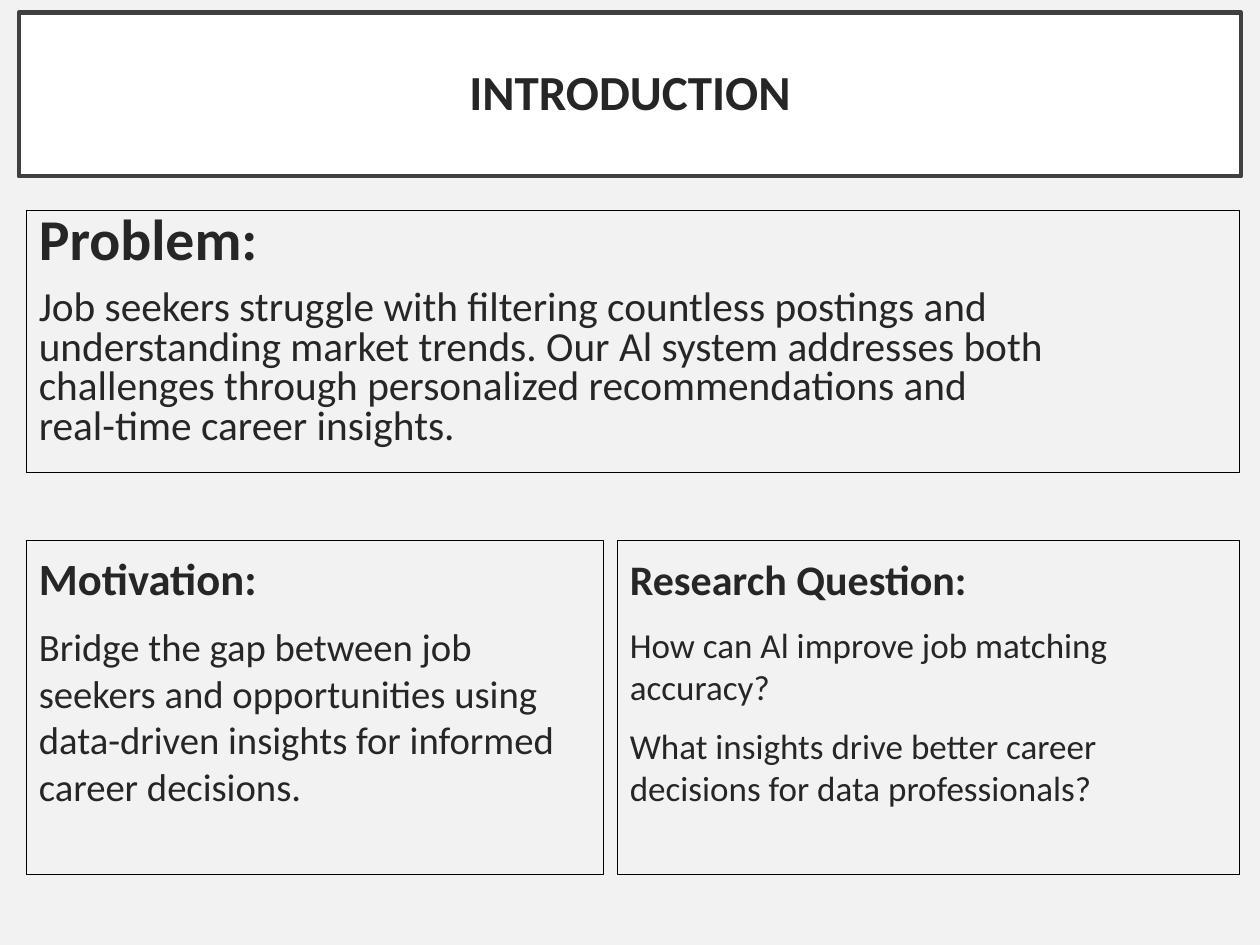
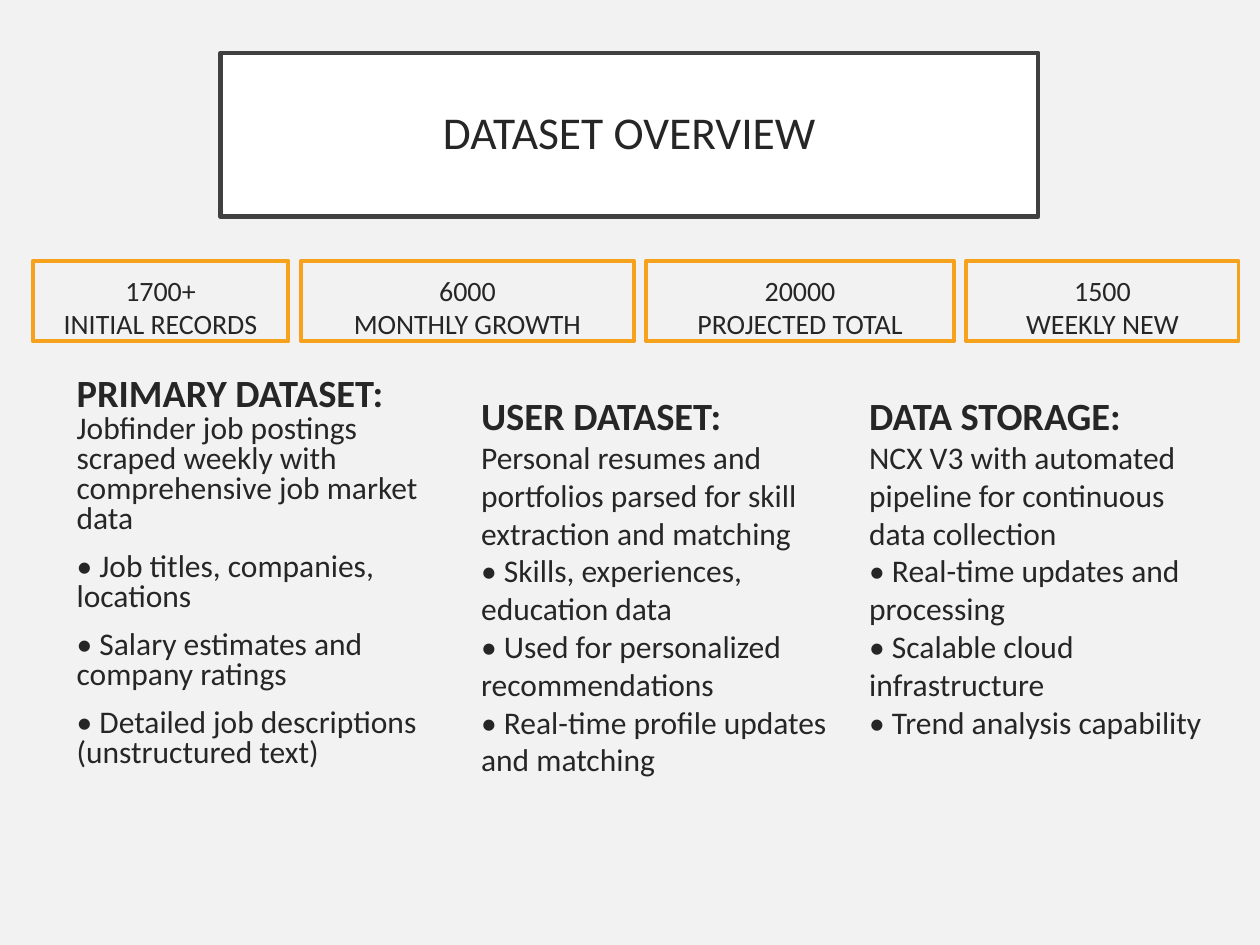
import copy

import pptx
import pptx.dml.color
import pptx.enum.shapes
import pptx.enum.text
import pptx.util

Inches = pptx.util.Inches
Pt = pptx.util.Pt
RGBColor = pptx.dml.color.RGBColor
ALIGN = pptx.enum.text.PP_ALIGN
ANCHOR = pptx.enum.text.MSO_ANCHOR

# Shared look
FONT = "Calibri"
BACKGROUND = RGBColor(0xF2, 0xF2, 0xF2)
WHITE = RGBColor(0xFF, 0xFF, 0xFF)
TEXT = RGBColor(0x26, 0x26, 0x26)
TITLE_LINE = RGBColor(0x40, 0x40, 0x40)
PANEL_LINE = RGBColor(0x00, 0x00, 0x00)
STAT_LINE = RGBColor(0xF6, 0xA2, 0x1D)


def add_slide(prs):
    s = prs.slides.add_slide(prs.slide_layouts[6])
    s.background.fill.solid()
    s.background.fill.fore_color.rgb = BACKGROUND
    return s


def set_frame(sp, inset_x=0.1, inset_y=0.1, anchor=ANCHOR.TOP):
    tf = sp.text_frame
    tf.word_wrap = True
    tf.vertical_anchor = anchor
    tf.margin_left = tf.margin_right = Inches(inset_x)
    tf.margin_top = tf.margin_bottom = Inches(inset_y)
    return tf


def add_box(s, x, y, w, h, line, width, fill=None):
    sp = s.shapes.add_shape(pptx.enum.shapes.MSO_SHAPE.RECTANGLE,
                            Inches(x), Inches(y), Inches(w), Inches(h))
    sp.shadow.inherit = False
    if fill is None:
        sp.fill.background()
    else:
        sp.fill.solid()
        sp.fill.fore_color.rgb = fill
    sp.line.color.rgb = line
    sp.line.width = Pt(width)
    return sp


def add_run(p, text, size, bold=False):
    """Add text to a paragraph; each newline becomes a line break."""
    for i, part in enumerate(text.split("\n")):
        if i:
            # The break takes the run's format so that line heights agree
            p.add_line_break()
            p._p[-1].append(copy.deepcopy(r._r.rPr))
        r = p.add_run()
        r.text = part
        r.font.name = FONT
        r.font.size = Pt(size)
        r.font.bold = bold
        r.font.color.rgb = TEXT


def write(tf, text, size=18, bold=False, heading="", heading_size=22,
          align=ALIGN.LEFT, spacing=1.0, before=0, indent=0):
    """Write one paragraph, with an optional bold heading on its first line."""
    p = tf.paragraphs[0]
    if p.runs:
        p = tf.add_paragraph()
    p.alignment = align
    p.line_spacing = spacing
    p.space_before = Pt(before)
    if indent:
        pPr = p._p.get_or_add_pPr()
        pPr.set("marL", str(Inches(indent)))
        pPr.set("indent", "0")
    if heading:
        add_run(p, heading + "\n", heading_size, bold=True)
    add_run(p, text, size, bold)
    return p


def add_title(s, text, x, y, w, size, bold=False):
    sp = add_box(s, x, y, w, 1.3, TITLE_LINE, 2.5, WHITE)
    tf = set_frame(sp, 0.2, 0.2, ANCHOR.MIDDLE)
    write(tf, text, size=size, bold=bold, align=ALIGN.CENTER, spacing=0.9)


def add_panel(s, x, y, w, h, heading, heading_size, body, size,
              spacing=1.0, tail_size=None):
    """Outlined panel; a trailing space of tail_size sets the heading's height."""
    tf = set_frame(add_box(s, x, y, w, h, PANEL_LINE, 0.75), inset_y=0.05)
    p = write(tf, heading, size=heading_size, bold=True, spacing=spacing)
    if tail_size:
        add_run(p, " ", tail_size, bold=True)
    for text in body:
        write(tf, text, size=size, spacing=spacing, before=10)


def add_stats(s, x, y, gap, stats):
    for value, label, w in stats:
        tf = set_frame(add_box(s, x, y, w, 0.64, STAT_LINE, 2.25))
        write(tf, f"{value}\n{label}", size=16, align=ALIGN.CENTER)
        x += w + gap


def add_column(s, x, y, w, h, heading, summary, points, inset_y=0.1, **style):
    sp = s.shapes.add_textbox(Inches(x), Inches(y), Inches(w), Inches(h))
    tf = set_frame(sp, inset_y=inset_y)
    write(tf, summary, heading=heading, **style)
    for point in points:
        write(tf, "• " + point, **style)


def build_introduction(prs):
    s = add_slide(prs)
    add_title(s, "INTRODUCTION", 0.15, 0.1, 9.7, 28, bold=True)
    add_panel(s, 0.21, 1.67, 9.63, 2.08, "Problem:", 33,
              ["Job seekers struggle with filtering countless postings and "
               "understanding market trends. Our Al system addresses both "
               "challenges through personalized recommendations and \n"
               "real-time career insights."], 23.6, spacing=0.8)
    add_panel(s, 0.21, 4.29, 4.58, 2.65, "Motivation:", 25.5,
              ["Bridge the gap between job seekers and opportunities using "
               "data-driven insights for informed career decisions."],
              22.1, tail_size=28)
    add_panel(s, 4.9, 4.29, 4.94, 2.65, "Research Question:", 24,
              ["How can Al improve job matching accuracy?",
               "What insights drive better career decisions for data "
               "professionals?"], 20, tail_size=28)


def build_dataset_overview(prs):
    s = add_slide(prs)
    add_title(s, "DATASET OVERVIEW", 1.75, 0.42, 6.49, 26)
    add_stats(s, 0.26, 2.07, 0.1, [
        ("1700+", "INITIAL RECORDS", 2.03),
        ("6000", "MONTHLY GROWTH", 2.64),
        ("20000", "PROJECTED TOTAL", 2.44),
        ("1500", "WEEKLY NEW", 2.16),
    ])
    add_column(s, 0.26, 2.95, 3.52, 4.13, "PRIMARY DATASET:",
               "Jobfinder job postings scraped weekly with comprehensive "
               "job market data",
               ["Job titles, companies, locations",
                "Salary estimates and company ratings",
                "Detailed job descriptions (unstructured text)"],
               inset_y=0.05, spacing=0.8, before=10, indent=0.25)
    add_column(s, 3.72, 3.01, 3.08, 4.01, "USER DATASET:",
               "Personal resumes and portfolios parsed for skill extraction "
               "and matching",
               ["Skills, experiences, education data",
                "Used for personalized recommendations",
                "Real-time profile updates and matching"])
    add_column(s, 6.8, 3.01, 2.88, 3.94, "DATA STORAGE:",
               "NCX V3 with automated pipeline for continuous data collection",
               ["Real-time updates and processing",
                "Scalable cloud infrastructure",
                "Trend analysis capability"])


def main():
    prs = pptx.Presentation()
    prs.slide_width = Inches(10)
    prs.slide_height = Inches(7.5)
    build_introduction(prs)
    build_dataset_overview(prs)
    prs.save("out.pptx")


if __name__ == "__main__":
    main()
